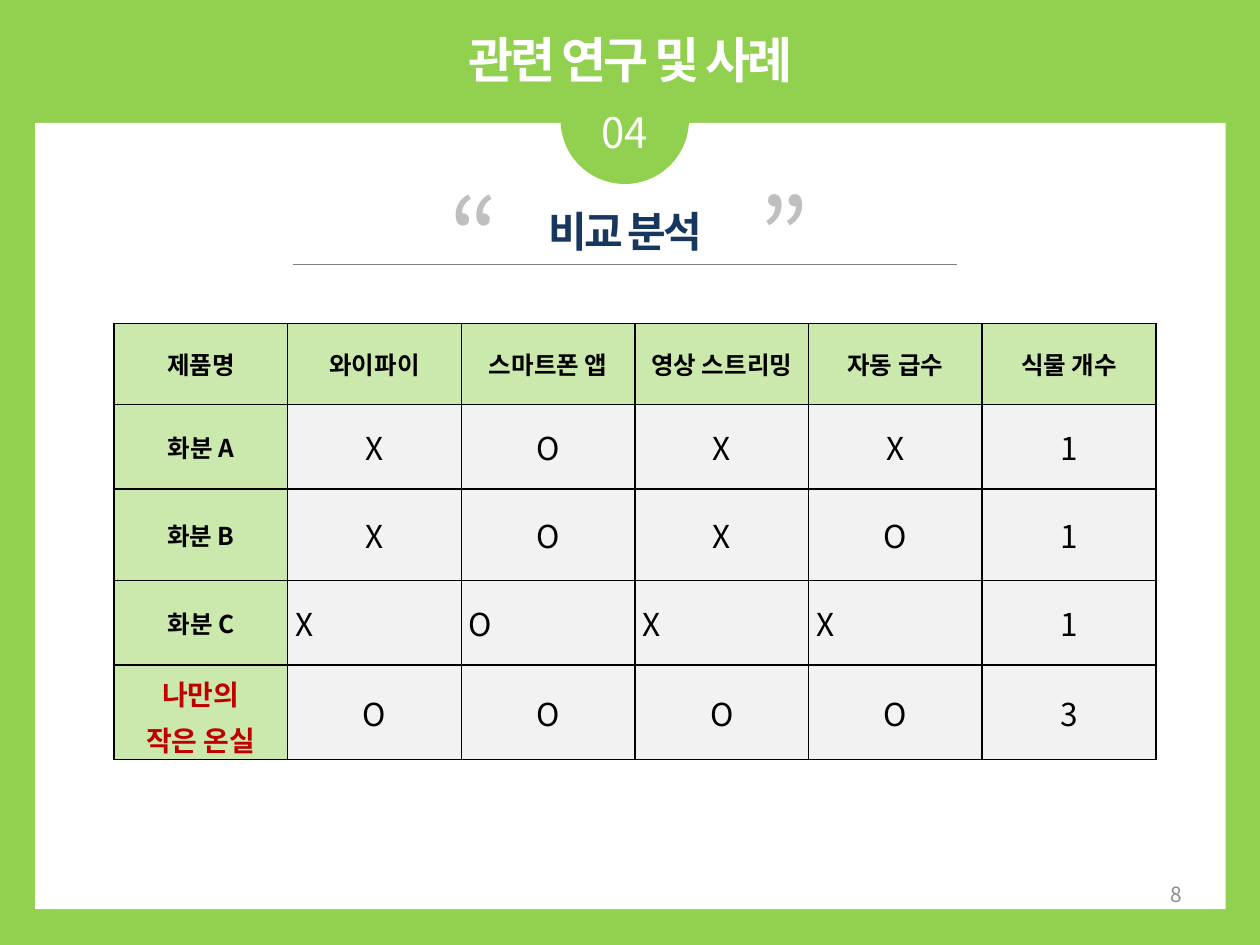
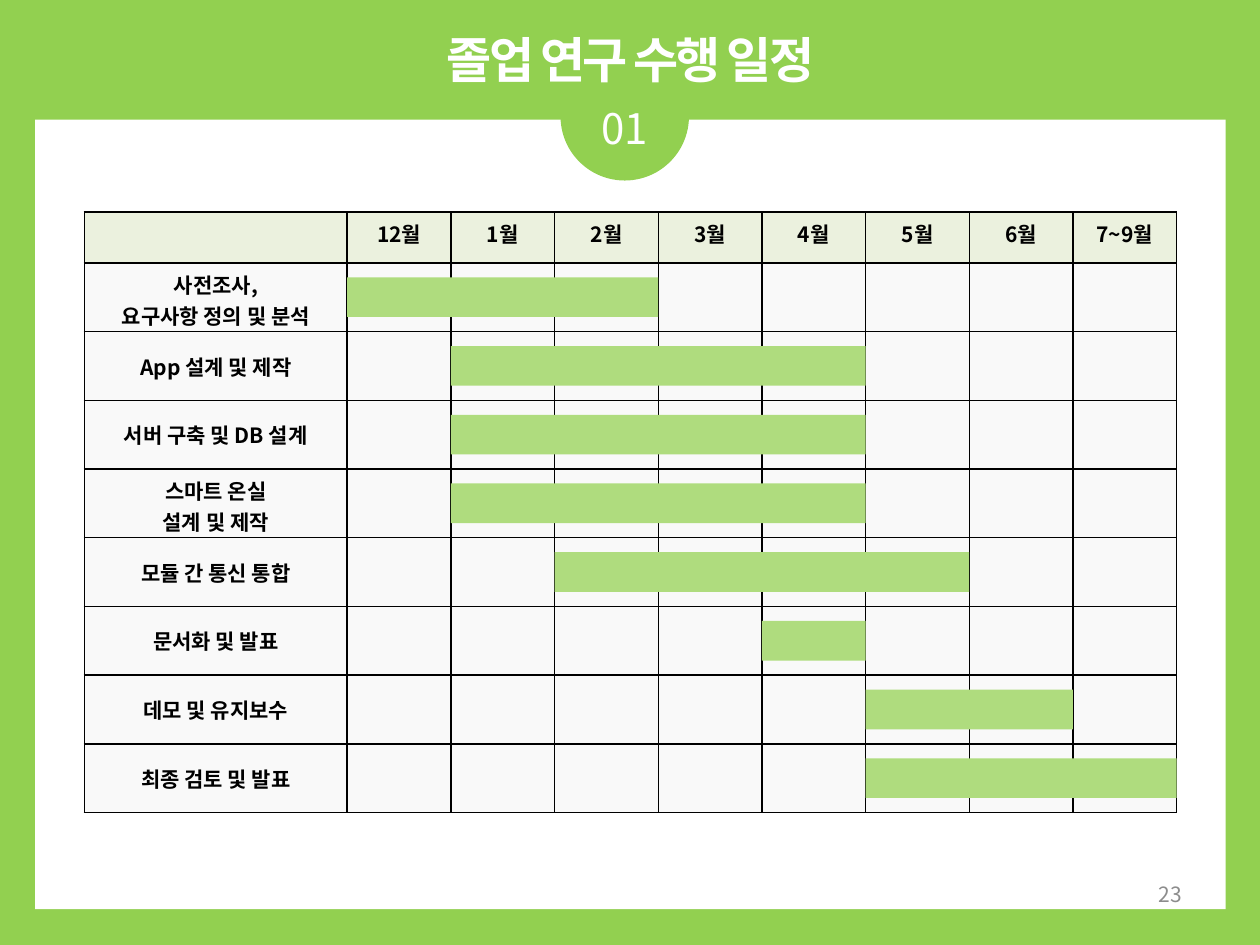
from lxml.etree import SubElement
from pptx import Presentation
from pptx.dml.color import RGBColor
from pptx.enum.shapes import MSO_CONNECTOR, MSO_SHAPE
from pptx.enum.text import MSO_ANCHOR, PP_ALIGN
from pptx.oxml.ns import qn
from pptx.util import Cm, Pt

FONT = "Noto Sans CJK KR"
GREEN = RGBColor(0x92, 0xD0, 0x50)
BAR_GREEN = RGBColor(0xAF, 0xDC, 0x7E)
LABEL_GREEN = RGBColor(0xCC, 0xE9, 0xAD)
MONTH_GREEN = RGBColor(0xEB, 0xF1, 0xDE)
CELL_GRAY = RGBColor(0xF2, 0xF2, 0xF2)
GRID_GRAY = RGBColor(0xF9, 0xF9, 0xF9)
QUOTE_GRAY = RGBColor(0xBF, 0xBF, 0xBF)
RULE_GRAY = RGBColor(0x80, 0x80, 0x80)
PAGE_GRAY = RGBColor(0x8C, 0x8C, 0x8C)
NAVY = RGBColor(0x17, 0x37, 0x5E)
RED = RGBColor(0xC0, 0x00, 0x00)
WHITE = RGBColor(0xFF, 0xFF, 0xFF)
BLACK = RGBColor(0x00, 0x00, 0x00)

PANEL_LEFT, PANEL_WIDTH, PANEL_BOTTOM = 0.71, 24, 18.33
BADGE_SIZE = 2.59

COMPARISON = [
    ["제품명", "와이파이", "스마트폰 앱", "영상 스트리밍", "자동 급수", "식물 개수"],
    ["화분 A", "X", "O", "X", "X", "1"],
    ["화분 B", "X", "O", "X", "O", "1"],
    ["화분 C", "X", "O", "X", "X", "1"],
    ["나만의\n작은 온실", "O", "O", "O", "O", "3"],
]
JUSTIFIED_ROW = 3
OWN_ROW = 4

MONTHS = ["12월", "1월", "2월", "3월", "4월", "5월", "6월", "7~9월"]
# task, first month column, number of months
TASKS = [
    ("사전조사,\n요구사항 정의 및 분석", 0, 3),
    ("App 설계 및 제작", 1, 4),
    ("서버 구축 및 DB 설계", 1, 4),
    ("스마트 온실\n설계 및 제작", 1, 4),
    ("모듈 간 통신 통합", 2, 4),
    ("문서화 및 발표", 4, 1),
    ("데모 및 유지보수", 5, 2),
    ("최종 검토 및 발표", 5, 3),
]


def write(tf, text, size, color, bold=False, align=PP_ALIGN.CENTER, spacing=None, gap=0):
    """Fill a text frame, one paragraph per line; gap is the space between them."""
    tf.text = text
    for i, p in enumerate(tf.paragraphs):
        p.alignment = align
        if i and gap:
            p.space_before = Pt(gap)
        p.font.name = FONT
        p.font.size = Pt(size)
        p.font.bold = bold
        p.font.color.rgb = color
        props = p._p.pPr.find(qn("a:defRPr"))
        SubElement(props, qn("a:ea"), typeface=FONT)
        if spacing:
            props.set("spc", str(int(spacing * 100)))


def add_text(s, box, text, size, color, anchor=MSO_ANCHOR.TOP, **style):
    tf = s.shapes.add_textbox(*map(Cm, box)).text_frame
    tf.word_wrap = True
    tf.vertical_anchor = anchor
    write(tf, text, size, color, **style)


def add_block(s, kind, box, color):
    sp = s.shapes.add_shape(kind, *map(Cm, box))
    sp.shadow.inherit = False
    sp.fill.solid()
    sp.fill.fore_color.rgb = color
    sp.line.fill.background()


def add_rule(s, left, right, y):
    line = s.shapes.add_connector(MSO_CONNECTOR.STRAIGHT, Cm(left), Cm(y), Cm(right), Cm(y))
    line.line.color.rgb = RULE_GRAY
    line.line.width = Pt(0.75)
    SubElement(line._element.spPr, qn("a:effectLst"))


def add_grid(s, left, top, widths, heights):
    """Add a plain table with the given column widths and row heights."""
    table = s.shapes.add_table(len(heights), len(widths), Cm(left), Cm(top),
                               Cm(sum(widths)), Cm(sum(heights))).table
    table.first_row = table.horz_banding = False
    for column, width in zip(table.columns, widths):
        column.width = Cm(width)
    for row, height in zip(table.rows, heights):
        row.height = Cm(height)
    return table


def style_cell(cell, color):
    """Give a cell black 1 pt borders and a solid fill."""
    props = cell._tc.get_or_add_tcPr()
    for side in ("lnL", "lnR", "lnT", "lnB"):
        ln = SubElement(props, qn(f"a:{side}"), w=str(Pt(1)))
        SubElement(SubElement(ln, qn("a:solidFill")), qn("a:srgbClr"), val=str(BLACK))
    cell.fill.solid()
    cell.fill.fore_color.rgb = color


def add_page(prs, title, number, page, panel_top):
    """Add a slide with the green frame, white panel, numbered badge and title."""
    s = prs.slides.add_slide(prs.slide_layouts[6])
    s.background.fill.solid()
    s.background.fill.fore_color.rgb = GREEN
    add_block(s, MSO_SHAPE.RECTANGLE,
              (PANEL_LEFT, panel_top, PANEL_WIDTH, PANEL_BOTTOM - panel_top), WHITE)
    add_block(s, MSO_SHAPE.OVAL, (11.3, panel_top - 1.36, BADGE_SIZE, BADGE_SIZE), GREEN)
    add_text(s, (PANEL_LEFT, 0.48, PANEL_WIDTH, 1.45), title, 28, WHITE,
             bold=True, spacing=-1.5)
    add_text(s, (11.2, panel_top - 0.46, 2.8, 1.27), number, 24, WHITE)
    add_text(s, (18.16, 17.51, 5.92, 1.02), page, 12, PAGE_GRAY,
             anchor=MSO_ANCHOR.MIDDLE, align=PP_ALIGN.RIGHT)
    return s


def add_quoted_heading(s, text):
    for left, mark in ((8.3, "“"), (14.55, "”")):
        add_text(s, (left, 3.33, 2.54, 2.82), mark, 60, QUOTE_GRAY)
    add_text(s, (6.6, 4.01, 12, 1.27), text, 24, NAVY, bold=True, spacing=-1.5)
    add_rule(s, 5.9, 19.3, 5.33)


def add_comparison(s):
    table = add_grid(s, 2.3, 6.52, [3.5] * 6, [1.63, 1.71, 1.84, 1.71, 1.9])
    for r, values in enumerate(COMPARISON):
        for c, value in enumerate(values):
            cell = table.cell(r, c)
            is_label = r == 0 or c == 0
            style_cell(cell, LABEL_GREEN if is_label else CELL_GRAY)
            cell.vertical_anchor = MSO_ANCHOR.MIDDLE
            cell.margin_left = cell.margin_right = Cm(0.15)
            cell.margin_top = cell.margin_bottom = Cm(0.2)
            if r == OWN_ROW and c == 0:
                cell.margin_top, cell.margin_bottom = Cm(0.15), 0
                write(cell.text_frame, value, 16, RED, bold=True, gap=3)
            elif is_label:
                write(cell.text_frame, value, 14, BLACK, bold=True)
            else:
                justified = r == JUSTIFIED_ROW and c < len(values) - 1
                write(cell.text_frame, value, 18, BLACK,
                      align=PP_ALIGN.JUSTIFY if justified else PP_ALIGN.CENTER)


def add_schedule(s):
    left, top, task_width, month_width = 1.7, 4.27, 5.3, 2.09
    header_height, row_height, bar_height = 1.03, 1.385, 0.8
    table = add_grid(s, left, top, [task_width] + [month_width] * len(MONTHS),
                     [header_height] + [row_height] * len(TASKS))
    for r in range(len(TASKS) + 1):
        for c in range(len(MONTHS) + 1):
            style_cell(table.cell(r, c), GRID_GRAY if r else MONTH_GREEN)
    for c, month in enumerate(MONTHS, 1):
        write(table.cell(0, c).text_frame, month, 12, BLACK, bold=True)
    bar_top = top + header_height + (row_height - bar_height) / 2
    for i, (task, start, months) in enumerate(TASKS):
        cell = table.cell(i + 1, 0)
        cell.vertical_anchor = MSO_ANCHOR.MIDDLE
        write(cell.text_frame, task, 12, BLACK, bold=True)
        add_block(s, MSO_SHAPE.RECTANGLE,
                  (left + task_width + start * month_width, bar_top + i * row_height,
                   months * month_width, bar_height), BAR_GREEN)


def main():
    prs = Presentation()
    prs.slide_width, prs.slide_height = Cm(25.4), Cm(19.05)

    s = add_page(prs, "관련 연구 및 사례", "04", "8", 2.48)
    add_quoted_heading(s, "비교 분석")
    add_comparison(s)

    s = add_page(prs, "졸업 연구 수행 일정", "01", "23", 2.41)
    add_schedule(s)

    prs.save("out.pptx")


if __name__ == "__main__":
    main()
